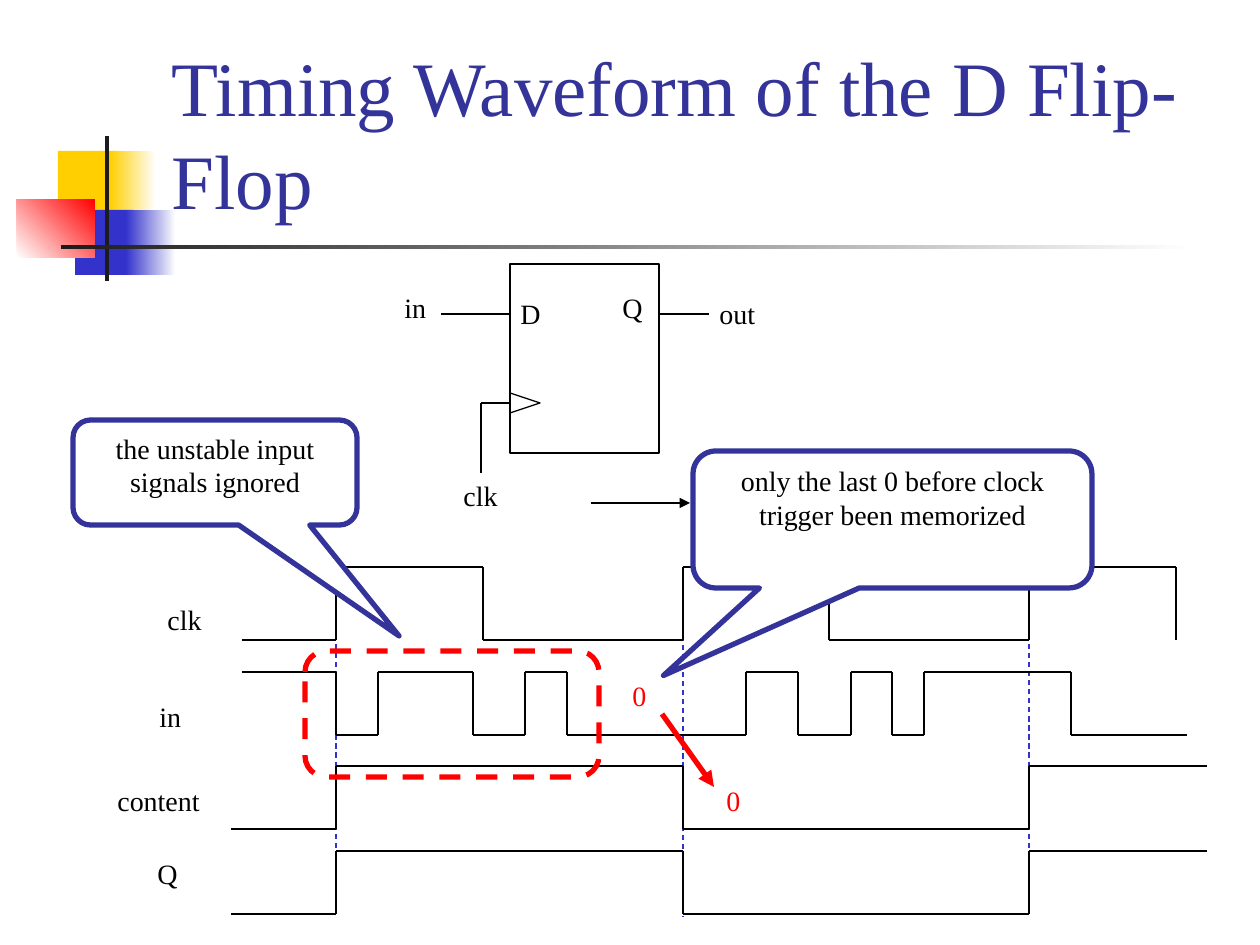
from lxml.etree import SubElement
from pptx import Presentation
from pptx.dml.color import RGBColor
from pptx.enum.dml import MSO_LINE
from pptx.enum.shapes import MSO_CONNECTOR, MSO_SHAPE as SHAPE
from pptx.enum.text import MSO_ANCHOR as ANCHOR, MSO_AUTO_SIZE as AUTO_SIZE, PP_ALIGN as ALIGN
from pptx.oxml.ns import qn
from pptx.util import Pt

EMU_PER_PIXEL = 914400 / 126
FONT = "Times New Roman"
BLACK, WHITE, RED = "000000", "FFFFFF", "FF0000"
YELLOW, BLUE, NAVY, DARK = "FFCF01", "3333CC", "333399", "1C1C1C"
color = RGBColor.from_string


def emu(*pixels):
    return [round(pixel * EMU_PER_PIXEL) for pixel in pixels]


def add_line(x1, y1, x2, y2, line_color=BLACK, width=0.75, dash=None, arrow=False):
    line = slide.shapes.add_connector(MSO_CONNECTOR.STRAIGHT, *emu(x1, y1, x2, y2))
    line.line.color.rgb = color(line_color)
    line.line.width = Pt(width)
    if dash:
        line.line.dash_style = dash
    if arrow:
        SubElement(line.line._get_or_add_ln(), qn("a:tailEnd"), type="triangle")
    SubElement(line._element.spPr, qn("a:effectLst"))


presentation = Presentation()
presentation.slide_width, presentation.slide_height = emu(1260, 945)
slide = presentation.slides.add_slide(presentation.slide_layouts[5])

decorations = [
    (58, 151, 60, 66, [YELLOW], 0),
    (110, 151, 46, 66, [YELLOW, WHITE], 0),
    (75, 210, 58, 65, [BLUE], 0),
    (126, 210, 50, 65, [BLUE, WHITE], 0),
    (17, 199, 78, 59, [WHITE, RED], 45),
    (105, 136, 4, 145, [DARK], 0),
    (61, 245, 1134, 4, [DARK, WHITE], 0),
]
for left, top, width, height, fill_colors, angle in decorations:
    shape = slide.shapes.add_shape(SHAPE.RECTANGLE, *emu(left, top, width, height))
    shape.shadow.inherit = False
    shape.line.fill.background()
    if len(fill_colors) == 1:
        shape.fill.solid()
        shape.fill.fore_color.rgb = color(fill_colors[0])
    else:
        shape.fill.gradient()
        shape.fill.gradient_angle = angle
        for stop, fill_color in zip(shape.fill.gradient_stops, fill_colors):
            stop.color.rgb = color(fill_color)

title = slide.shapes.title
title.left, title.top, title.width, title.height = emu(159, 29, 1074, 202)
frame = title.text_frame
frame.auto_size = AUTO_SIZE.NONE
frame.word_wrap = True
frame.vertical_anchor = ANCHOR.BOTTOM
paragraph = frame.paragraphs[0]
paragraph.alignment = ALIGN.LEFT
run = paragraph.add_run()
run.text = "Timing Waveform of the D Flip-Flop"
run.font.name, run.font.size = FONT, Pt(44)
run.font.color.rgb = color(NAVY)

for kind, left, top, width, height, rotation in [
    (SHAPE.RECTANGLE, 510, 264, 149, 189, 0),
    (SHAPE.ISOSCELES_TRIANGLE, 515, 388, 20, 30, 90),
]:
    shape = slide.shapes.add_shape(kind, *emu(left, top, width, height))
    shape.rotation = rotation
    shape.shadow.inherit = False
    shape.fill.background()
    shape.line.color.rgb = color(BLACK)
    shape.line.width = Pt(0.75)

for wire in [(659, 314, 709, 314), (510, 314, 441, 314), (510, 403, 481, 403), (481, 403, 481, 473)]:
    add_line(*wire)
add_line(591, 503, 690, 503, arrow=True)

for x, top, bottom in [(336, 599, 906), (683, 609, 916), (1029, 599, 906)]:
    add_line(x, top, x, bottom, BLUE, dash=MSO_LINE.DASH)

clock_edges = [336, 683, 1029]
waveforms = [
    (242, [336, 483, 683, 829, 1029, 1176], 1176, 640, 567),
    (242, [336, 378, 473, 525, 567, 746, 798, 851, 892, 924, 1071], 1187, 672, 735),
    (231, clock_edges, 1207, 829, 766),
    (231, clock_edges, 1207, 914, 851),
]
for x, edges, end, level, other_level in waveforms:
    for edge in edges:
        add_line(x, level, edge, level)
        add_line(edge, level, edge, other_level)
        x, level, other_level = edge, other_level, level
    if x < end:
        add_line(x, level, end, level)

labels = [
    ("D", 508, 290, 45, BLACK),
    ("Q", 610, 284, 45, BLACK),
    ("in", 392, 284, 47, BLACK),
    ("out", 707, 290, 62, BLACK),
    ("clk", 451, 472, 59, BLACK),
    ("clk", 155, 596, 59, BLACK),
    ("in", 147, 693, 48, BLACK),
    ("content", 105, 777, 108, BLACK),
    ("Q", 145, 850, 45, BLACK),
    ("0", 620, 672, 39, RED),
    ("0", 714, 777, 39, RED),
]
for text, left, top, width, text_color in labels:
    box = slide.shapes.add_textbox(*emu(left, top, width, 47))
    box.text_frame.word_wrap = False
    box.text_frame.auto_size = AUTO_SIZE.SHAPE_TO_FIT_TEXT
    run = box.text_frame.paragraphs[0].add_run()
    run.text = text
    run.font.name, run.font.size = FONT, Pt(16)
    run.font.color.rgb = color(text_color)

add_line(662, 714, 714, 787, RED, 3, arrow=True)

CALLOUT = SHAPE.ROUNDED_RECTANGULAR_CALLOUT
outlined_shapes = [
    (CALLOUT, 693, 451, 399, 137, [-0.574, 1.139, 0.167], NAVY,
     "only the last 0 before clock trigger been memorized"),
    (SHAPE.ROUNDED_RECTANGLE, 305, 651, 294, 126, [0.167], RED, None),
    (CALLOUT, 73, 420, 284, 105, [0.648, 1.556, 0.167], NAVY,
     "the unstable input signals ignored"),
]
for kind, left, top, width, height, adjustments, line_color, text in outlined_shapes:
    shape = slide.shapes.add_shape(kind, *emu(left, top, width, height))
    shape.shadow.inherit = False
    for index, value in enumerate(adjustments):
        shape.adjustments[index] = value
    shape.line.color.rgb = color(line_color)
    shape.line.width = Pt(3)
    if text is None:
        shape.fill.background()
        shape.line.dash_style = MSO_LINE.DASH
        continue
    shape.fill.solid()
    shape.fill.fore_color.rgb = color(WHITE)
    shape.text_frame.word_wrap = True
    shape.text_frame.vertical_anchor = ANCHOR.TOP
    paragraph = shape.text_frame.paragraphs[0]
    paragraph.alignment = ALIGN.CENTER
    run = paragraph.add_run()
    run.text = text
    run.font.name, run.font.size = FONT, Pt(16)
    run.font.color.rgb = color(BLACK)

presentation.save("out.pptx")
